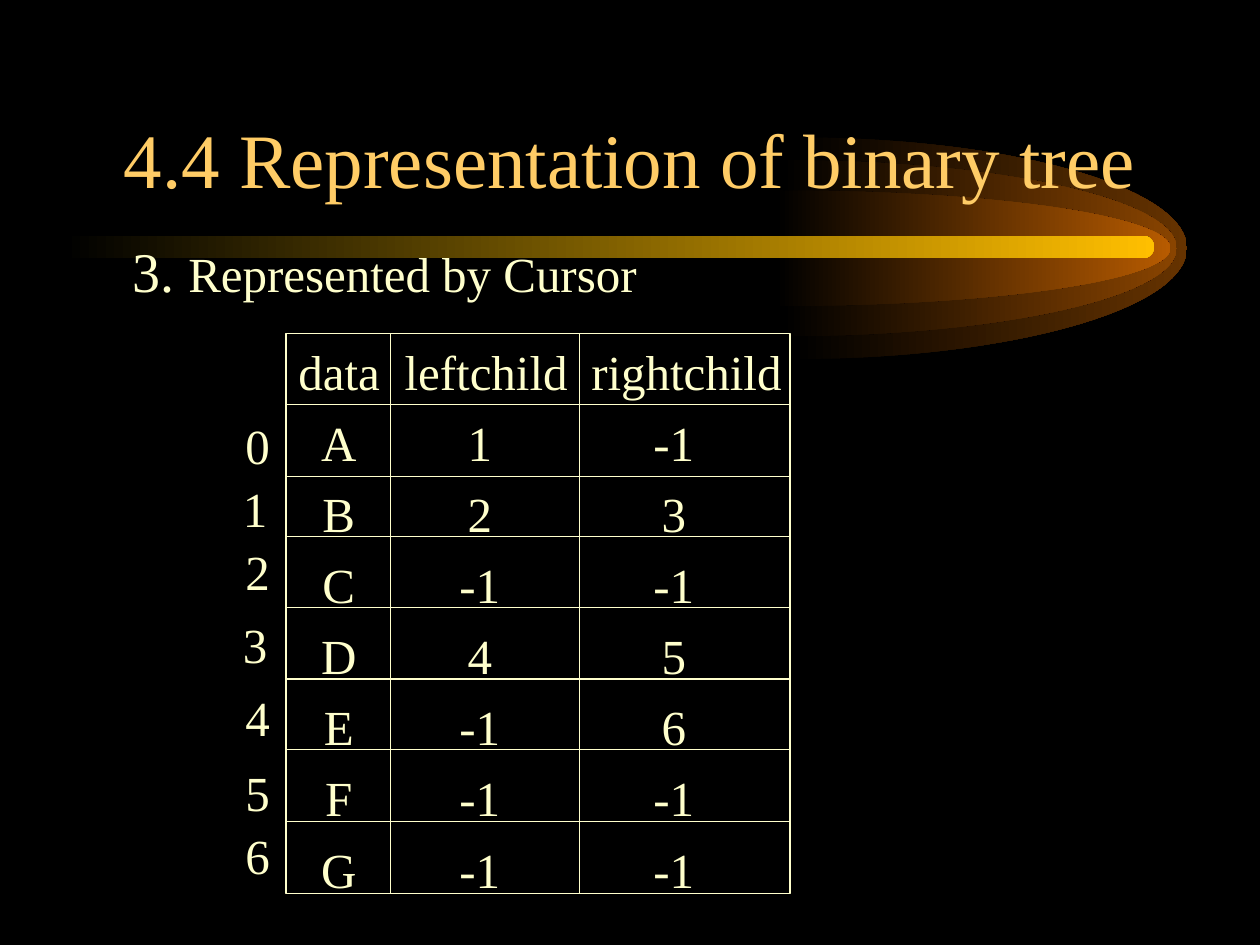
"""Build a slide on the cursor representation of a binary tree."""
from itertools import accumulate
from lxml import etree
from pptx import Presentation
from pptx import util as u
from pptx.dml.color import RGBColor
from pptx.enum import shapes, text
from pptx.oxml.ns import qn

THEME = dict(font="Times New Roman", back="000000", title="FFCC66", body="FFFFCC",
             bar="FFBF00", title_size=44, number_size=32, size=28, line_width=0.75,
             space_before=7)

TITLE = "4.4 Representation of binary tree"
HEADING = [("3. ", THEME["number_size"]), ("Represented by Cursor", THEME["size"])]
HEADER = ("data", "leftchild", "rightchild")
NODES = [
    ("A", 1, -1),
    ("B", 2, 3),
    ("C", -1, -1),
    ("D", 4, 5),
    ("E", -1, 6),
    ("F", -1, -1),
    ("G", -1, -1),
]
HEADER_TABS = (0.32, 1.49, 3.08)
NODE_TABS = (0.32, 1.44, 2.98)
GRID_LEFT, GRID_TOP, GRID_WIDTH, GRID_HEIGHT = GRID = (2.27, 2.65, 4, 4.44)
COLUMN_WIDTHS = [0.83, 1.5]
ROW_HEIGHTS = [0.56, 0.57, 0.48, 0.56, 0.57, 0.56, 0.57]
INDEX_PLACES = [(1.85, 3.25), (1.83, 3.75), (1.85, 4.25), (1.83, 4.83),
                (1.85, 5.41), (1.85, 6), (1.85, 6.5)]

FLAME_MIDDLE, FLAME_LENGTH, CURVE = 1.97, 3.13, 0.55
FLAMES = [(6.29, 0.88, "663300"), (6.21, 0.7, "894400"), (6.16, 0.46, "B75B00")]


def rgb(value):
    return RGBColor.from_string(value)


def fade(sp, color):
    sp.shadow.inherit = False
    sp.line.fill.background()
    sp.fill.gradient()
    sp.fill.gradient_angle = 0
    for stop, position, value in zip(sp.fill.gradient_stops, (0, 1), (THEME["back"], color)):
        stop.position = position
        stop.color.rgb = rgb(value)


def add_flame(slide, left, radius, color):
    corners = [(u.Inches(left + x * FLAME_LENGTH), u.Inches(FLAME_MIDDLE + y * radius))
               for x, y in ((0, -1), (1, 0), (0, 1))]
    builder = slide.shapes.build_freeform(*corners[0], scale=1.0)
    builder.add_line_segments(corners[1:], close=True)
    sp = builder.convert_to_shape()
    curves = [[(CURVE, -1), (1, -CURVE), (1, 0)], [(1, CURVE), (CURVE, 1), (0, 1)]]
    for side, points in zip(list(sp._element.iter(qn("a:lnTo"))), curves):
        curve = etree.Element(qn("a:cubicBezTo"))
        for x, y in points:
            etree.SubElement(curve, qn("a:pt"), x=str(round(x * sp.width)),
                             y=str(round((y + 1) / 2 * sp.height)))
        side.getparent().replace(side, curve)
    fade(sp, color)


def write(p, content, size=THEME["size"], color=THEME["body"], align=text.PP_ALIGN.LEFT):
    p.alignment = align
    runs = content if isinstance(content, list) else [(content, size)]
    for words, points in runs:
        r = p.add_run()
        r.text = words
        r.font.name = THEME["font"]
        r.font.size = u.Pt(points)
        r.font.color.rgb = rgb(color)


def add_text(slide, box, content, anchor=text.MSO_ANCHOR.TOP, wrap=True, inset=0.1, **style):
    tf = slide.shapes.add_textbox(*map(u.Inches, box)).text_frame
    tf.word_wrap = wrap
    tf.vertical_anchor = anchor
    tf.margin_left = u.Inches(inset)
    write(tf.paragraphs[0], content, **style)


def add_rule(slide, *ends):
    line = slide.shapes.add_connector(shapes.MSO_CONNECTOR.STRAIGHT, *map(u.Inches, ends))
    line.line.color.rgb = rgb(THEME["body"])
    line.line.width = u.Pt(THEME["line_width"])
    etree.SubElement(line._element.spPr, qn("a:effectLst"))


def add_grid(slide):
    sp = slide.shapes.add_shape(shapes.MSO_SHAPE.RECTANGLE, *map(u.Inches, GRID))
    sp.shadow.inherit = False
    sp.fill.background()
    sp.line.color.rgb = rgb(THEME["body"])
    sp.line.width = u.Pt(THEME["line_width"])
    tf = sp.text_frame
    tf.word_wrap = True
    tf.vertical_anchor = text.MSO_ANCHOR.TOP
    tf.margin_top = u.Inches(0.06)
    tf.margin_right = tf.margin_bottom = 0
    for i, row in enumerate([HEADER, *NODES]):
        p = tf.add_paragraph() if i else tf.paragraphs[0]
        if i:
            p.space_before = u.Pt(THEME["space_before"])
        tabs = etree.SubElement(p._p.get_or_add_pPr(), qn("a:tabLst"))
        for stop in NODE_TABS if i else HEADER_TABS:
            etree.SubElement(tabs, qn("a:tab"), pos=str(u.Inches(stop)), algn="ctr")
        write(p, "".join(f"\t{value}" for value in row))
    for x in accumulate(COLUMN_WIDTHS, initial=GRID_LEFT):
        if x > GRID_LEFT:
            add_rule(slide, x, GRID_TOP, x, GRID_TOP + GRID_HEIGHT)
    for y in accumulate(ROW_HEIGHTS, initial=GRID_TOP):
        if y > GRID_TOP:
            add_rule(slide, GRID_LEFT, y, GRID_LEFT + GRID_WIDTH, y)


def main():
    prs = Presentation()
    prs.slide_width, prs.slide_height = u.Inches(10), u.Inches(7.5)
    slide = prs.slides.add_slide(prs.slide_layouts[6])
    slide.background.fill.solid()
    slide.background.fill.fore_color.rgb = rgb(THEME["back"])

    for flame in FLAMES:
        add_flame(slide, *flame)
    bar = slide.shapes.add_shape(shapes.MSO_SHAPE.ROUNDED_RECTANGLE,
                                 *map(u.Inches, (0.5, 1.87, 8.66, 0.18)))
    bar.adjustments[0] = 0.5
    fade(bar, THEME["bar"])

    add_text(slide, (0.75, 0.42, 8.5, 1.25), TITLE, anchor=text.MSO_ANCHOR.BOTTOM,
             size=THEME["title_size"], color=THEME["title"], align=text.PP_ALIGN.CENTER)
    add_text(slide, (0.83, 1.83, 8.5, 5.5), HEADING, inset=0.22)
    add_grid(slide)
    for i, place in enumerate(INDEX_PLACES):
        add_text(slide, (*place, 0.4, 0.57), str(i), wrap=False)
    prs.save("out.pptx")


if __name__ == "__main__":
    main()
